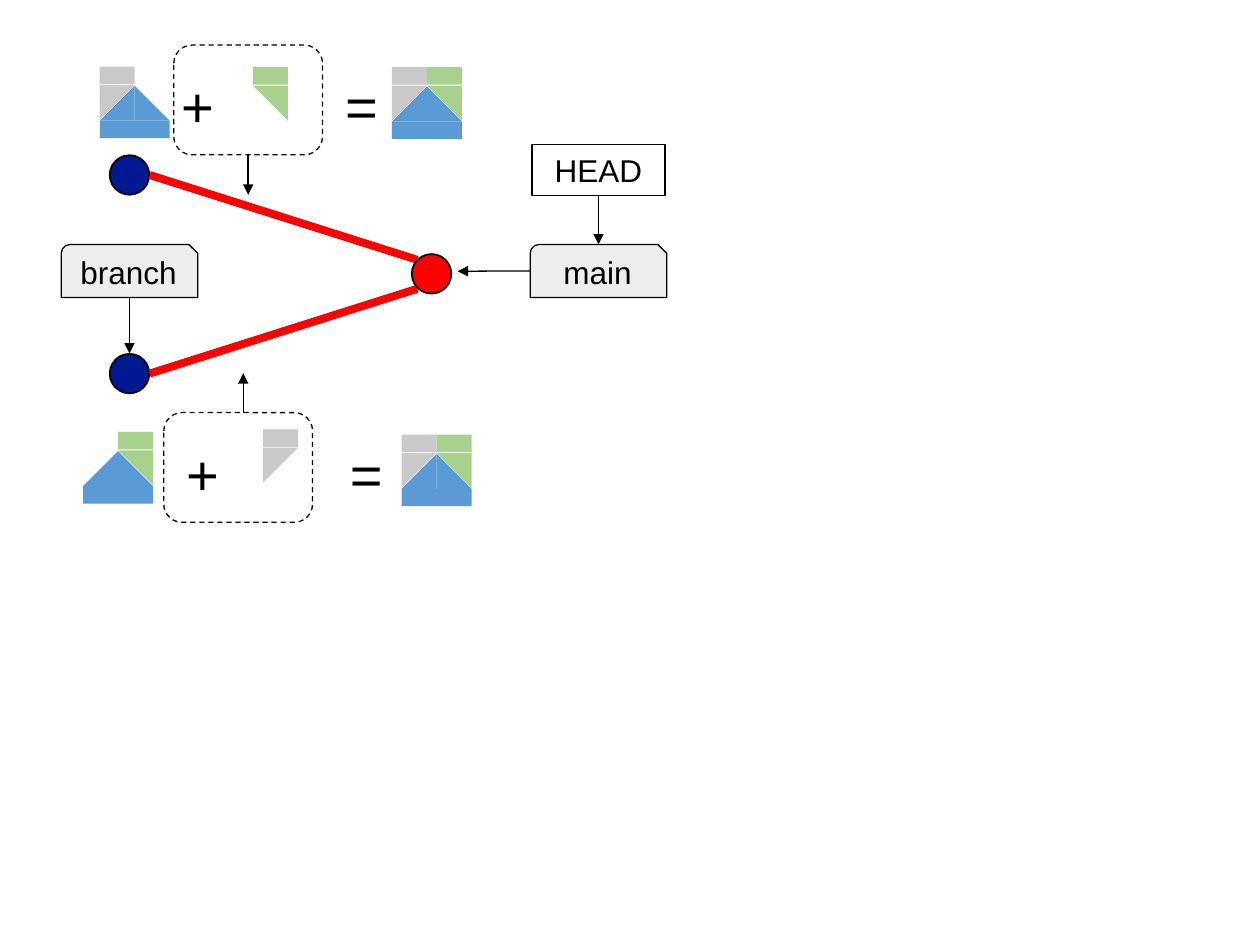
from pptx import Presentation
from pptx.dml.color import RGBColor
from pptx.enum import dml, shapes, text
from pptx.oxml import ns
from pptx.util import Pt
from lxml import etree

COLORS = {
    "black": "000000", "navy": "011893", "red": "FF0000", "label": "EDEDED",
    "grey": "C9C9C9", "green": "A9D18E", "blue": "5B9BD5",
}
KIND = shapes.MSO_SHAPE
TILE = 20      # side of a triangle tile
WALL = 10      # height of a rectangle tile
DOT = 22.6     # diameter of a commit


def color(name):
    return RGBColor.from_string(COLORS[name])


class Diagram:
    """Holds the text style and the current slide; lengths are in points."""

    def __init__(self, page, font="Arial"):
        self.page = page
        self.font = font

    def shape(self, kind, left, top, width, height, fill=None, line=None,
              dash=None, turn=0):
        item = self.page.shapes.add_shape(
            kind, Pt(left), Pt(top), Pt(width), Pt(height))
        item.shadow.inherit = False
        item.rotation = turn
        if fill:
            item.fill.solid()
            item.fill.fore_color.rgb = color(fill)
        else:
            item.fill.background()
        if line:
            item.line.color.rgb = color("black")
            item.line.width = Pt(line)
            if dash:
                item.line.dash_style = dash
        else:
            item.line.fill.background()
        return item

    def set_text(self, box, words, size, align, wrap=True):
        frame = box.text_frame
        frame.word_wrap = wrap
        frame.auto_size = text.MSO_AUTO_SIZE.SHAPE_TO_FIT_TEXT
        para = frame.paragraphs[0]
        para.alignment = align
        span = para.add_run()
        span.text = words
        style = {"name": self.font, "size": Pt(size)}
        for key, value in style.items():
            setattr(span.font, key, value)
        span.font.color.rgb = color("black")

    def label(self, kind, words, left, top, width, height, fill=None):
        box = self.shape(kind, left, top, width, height, fill, line=0.75)
        box.text_frame.vertical_anchor = text.MSO_ANCHOR.MIDDLE
        self.set_text(box, words, 18, text.PP_ALIGN.CENTER)
        return box

    def sign(self, words, left, top, wrap):
        box = self.page.shapes.add_textbox(Pt(left), Pt(top), Pt(31), Pt(46))
        self.set_text(box, words, 32, text.PP_ALIGN.LEFT, wrap)

    def commit(self, center_x, center_y, fill):
        self.shape(KIND.OVAL, center_x - DOT / 2, center_y - DOT / 2,
                   DOT, DOT, fill, line=1)

    def connector(self, start, end, name="black", width=0.75, arrow=True,
                  source=None):
        """Draw a line; a source box is joined at the middle of its bottom."""
        link = self.page.shapes.add_connector(
            shapes.MSO_CONNECTOR.STRAIGHT, *map(Pt, start + end))
        if source is not None:
            link.begin_connect(source, 2)
        link.line.color.rgb = color(name)
        link.line.width = Pt(width)
        properties = link._element.spPr
        if arrow:
            etree.SubElement(properties.find(ns.qn("a:ln")),
                             ns.qn("a:tailEnd"), type="triangle")
        etree.SubElement(properties, ns.qn("a:effectLst"))

    def house(self, left, top, *parts):
        """Draw the chosen parts: grey left wing, green right wing, blue roof."""
        middle = left + TILE
        if "blue" in parts:
            self.shape(KIND.RECTANGLE, left, top + 31, 2 * TILE, WALL, "blue")
            for x, turn in ((left, 270), (middle, 0)):
                self.shape(KIND.RIGHT_TRIANGLE, x, top + 11, TILE, TILE,
                           "blue", turn=turn)
        for name, x, turn in (("grey", left, 90), ("green", middle, 180)):
            if name in parts:
                self.shape(KIND.RECTANGLE, x, top, TILE, WALL, name)
                self.shape(KIND.RIGHT_TRIANGLE, x, top + 10.5, TILE, TILE,
                           name, turn=turn)


def main():
    deck = Presentation()
    deck.slide_width, deck.slide_height = Pt(720), Pt(540)
    diagram = Diagram(deck.slides.add_slide(deck.slide_layouts[6]))

    # Commit graph
    for start_y, end_y in ((100, 148.5), (213.5, 165)):
        diagram.commit(74, start_y, "navy")
        diagram.connector((85.5, start_y), (238.5, end_y), "red", 4.5,
                          arrow=False)
    diagram.commit(246.6, 156.5, "red")

    # References
    for words, left in (("main", 303), ("branch", 35)):
        diagram.label(KIND.SNIP_ROUND_RECTANGLE, words, left, 139.7, 78, 30.3,
                      "label")
    head = diagram.label(KIND.RECTANGLE, "HEAD", 304, 82.5, 76, 29.2)
    diagram.connector((342, 111.7), (342, 139.7), source=head)
    diagram.connector((303, 154.8), (261.5, 155))
    diagram.connector((74, 170), (74, 202))

    # Upper merge: the branch brings in the green wing
    diagram.house(57, 38, "grey", "blue")
    diagram.house(124.5, 38.4, "green")
    diagram.house(224, 38.4, "grey", "green", "blue")

    # Lower merge: the branch brings in the grey wing
    diagram.house(47.5, 246.8, "green", "blue")
    diagram.house(150.3, 245.3, "grey")
    diagram.house(229.5, 248.3, "grey", "green", "blue")

    for plus_x, top in ((96.5, 37.5), (99.3, 247.5)):
        diagram.sign("+", plus_x, top, wrap=False)
        diagram.sign("=", plus_x + 93.6, top, wrap=True)

    upper, lower = [
        diagram.shape(KIND.ROUNDED_RECTANGLE, left, top, 85, 62.7, line=0.75,
                      dash=dml.MSO_LINE.DASH)
        for left, top in ((99.3, 25.8), (93.6, 235.8))]
    diagram.connector((141.8, 88.5), (141.8, 111.3), source=upper)
    diagram.connector((139, lower.top.pt), (139, 213.3))

    deck.save("out.pptx")


if __name__ == "__main__":
    main()
